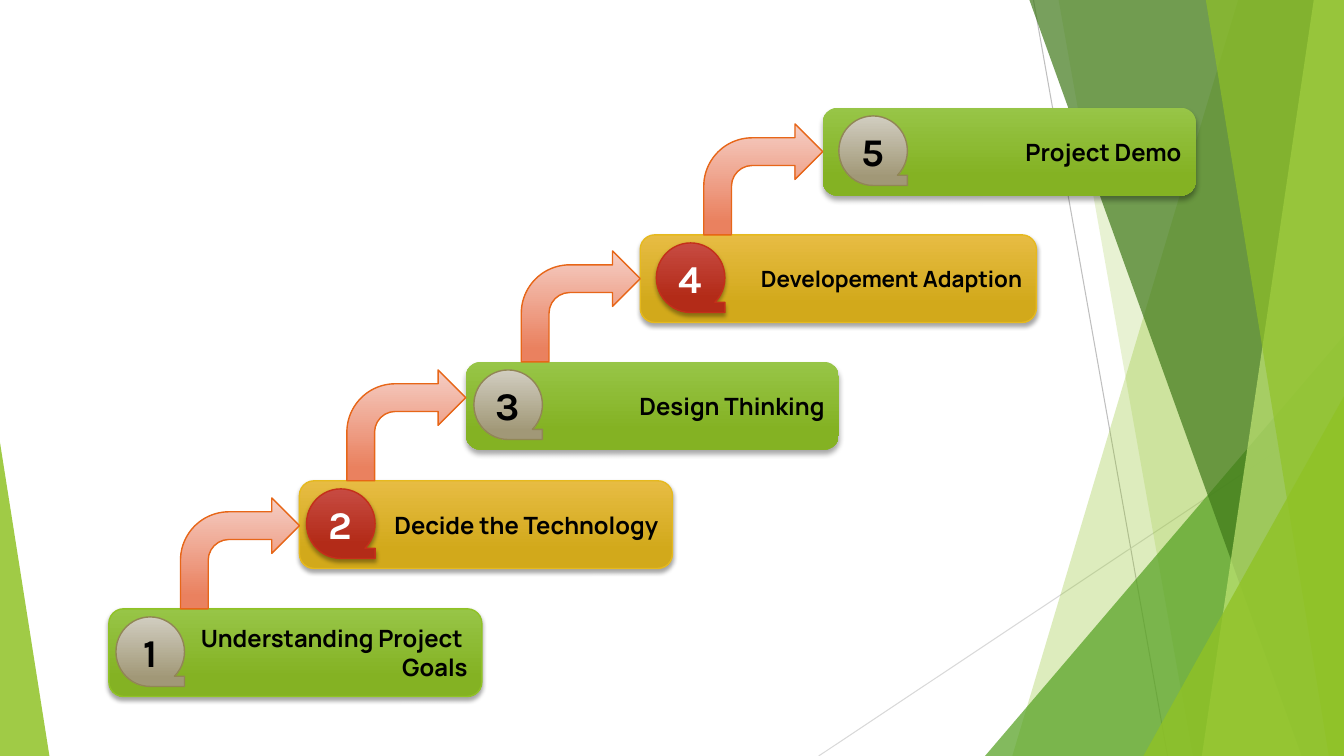
from pptx import Presentation
from pptx.util import Inches, Pt
from pptx.dml.color import RGBColor
from pptx.enum.shapes import MSO_CONNECTOR, MSO_SHAPE
from pptx.enum.text import MSO_ANCHOR, PP_ALIGN
from pptx.oxml.ns import qn
from lxml import etree

LINE = MSO_CONNECTOR.STRAIGHT
TRIANGLE = MSO_SHAPE.ISOSCELES_TRIANGLE
PANEL = MSO_SHAPE.ROUNDED_RECTANGLE
BADGE = MSO_SHAPE.FLOWCHART_SEQUENTIAL_ACCESS_STORAGE
ARROW = MSO_SHAPE.BENT_ARROW
MIDDLE = MSO_ANCHOR.MIDDLE
RIGHT, CENTER = PP_ALIGN.RIGHT, PP_ALIGN.CENTER

W, H = 13.33, 7.5
PANEL_W, PANEL_H = 3.7, 0.87
BADGE_W, BADGE_H, BADGE_DY = 0.68, 0.69, 0.08
ARROW_W, ARROW_H = 1.18, 1.1

THEME = {
    "green": {"stops": [(0, "97C547"), (0.78, "84B223")], "line": "90C226"},
    "gold": {"stops": [(0, "E7BC43"), (0.78, "D2A91B")], "line": "E6B91E"},
    "stone": {"stops": [(0, "D1CDC0"), (0.88, "A19877")], "line": "918655"},
    "red": {"stops": [(0, "C74B42"), (0.78, "B32B18")], "line": "C42F1A"},
    "coral": {"stops": [(0, "F5CEC5"), (0.88, "EA815F")], "line": "E76618"},
    "label": {"name": "Manrope", "size": Pt(17), "bold": True},
    "number": {"name": "Karla", "size": Pt(28), "bold": True},
    "small": Pt(16),
    "dark": "000000",
    "light": "FFFFFF",
}

STEPS = [
    {"label": ["Understanding Project ", "Goals"], "at": (1.08, 6.04), "badge_dx": 0.07, "outline": True},
    {"label": ["Decide the Technology"], "at": (2.97, 4.77), "badge_dx": 0.07, "outline": True},
    {"label": ["Design Thinking"], "at": (4.62, 3.59), "badge_dx": 0.08},
    {"label": ["Developement Adaption"], "at": (6.35, 2.33), "badge_dx": 0.16, "outline": True,
     "width": 3.93, "size": THEME["small"]},
    {"label": ["Project Demo"], "at": (8.16, 1.07), "badge_dx": 0.16},
]

RAYS = [((10.25, 0), (11.58, H), "BFBFBF"), ((W, 4.03), (8.12, H), "D9D9D9")]
FACETS = [
    ("band", 12.28, 10.04, "90C226", 30),
    ("band", 10.5, 11.83, "90C226", 20),
    ("peak", (9.77, 3.33, W), 1, "54A021", 72),
    ("band", 10.21, 12.91, "3F7819", 70),
    ("band", 13.03, 11.92, "C0E474", 70),
    ("band", 11.96, 13.18, "90C226", 65),
    ("peak", (11.34, 3.93, W), 1, "90C226", 80),
    ("peak", (0, 4.39, 0.49), 0, "90C226", 85),
]


def rgb(color):
    return RGBColor.from_string(color)


def add_shape(kind, x, y, w, h):
    s = shapes.add_shape(kind, Inches(x), Inches(y), Inches(w), Inches(h))
    s.shadow.inherit = False
    return s


def tint(s, color, alpha):
    s.fill.solid()
    s.fill.fore_color.rgb = rgb(color)
    clr = s.fill._xPr.find(qn("a:solidFill"))[0]
    etree.SubElement(clr, qn("a:alpha"), val=str(alpha * 1000))
    s.line.fill.background()


def paint(s, style, outline=True):
    s.fill.gradient()
    s.fill.gradient_angle = 270
    for stop, (position, color) in zip(s.fill.gradient_stops, style["stops"]):
        stop.position = position
        stop.color.rgb = rgb(color)
    if outline:
        s.line.color.rgb = rgb(style["line"])
        s.line.width = Pt(1)
    else:
        s.line.fill.background()


def cast_shadow(s, blur, dist):
    effects = s._element.spPr.find(qn("a:effectLst"))
    shadow = etree.SubElement(effects, qn("a:outerShdw"), blurRad=str(Pt(blur)), dist=str(Pt(dist)),
                              dir="5400000", algn="ctr", rotWithShape="0")
    clr = etree.SubElement(shadow, qn("a:srgbClr"), val=THEME["dark"])
    etree.SubElement(clr, qn("a:alpha"), val="35000")


def write(s, lines, align, font, color):
    tf = s.text_frame
    tf.word_wrap = True
    tf.vertical_anchor = MIDDLE
    for i, line in enumerate(lines):
        p = tf.add_paragraph() if i else tf.paragraphs[0]
        p.alignment = align
        r = p.add_run()
        r.text = line
        for key, value in font.items():
            setattr(r.font, key, value)
        r.font.color.rgb = rgb(color)


def add_ray(start, end, color):
    c = shapes.add_connector(LINE, *map(Inches, start + end))
    c.line.color.rgb = rgb(color)
    c.line.width = Pt(0.75)
    etree.SubElement(c._element.spPr, qn("a:effectLst"))


def add_facet(kind, a, b, color, alpha):
    if kind == "band":
        builder = shapes.build_freeform(Inches(a), 0)
        corners = [(W, 0), (W, H), (b, H)]
        builder.add_line_segments([(Inches(x), Inches(y)) for x, y in corners], close=True)
        s = builder.convert_to_shape()
        s.shadow.inherit = False
    else:
        left, top, right = a
        s = add_shape(TRIANGLE, left, top, right - left, H - top)
        s.adjustments[0] = b
    tint(s, color, alpha)


def add_panel(i, step):
    s = add_shape(PANEL, *step["at"], step.get("width", PANEL_W), PANEL_H)
    outline = step.get("outline", False)
    paint(s, THEME["gold" if i % 2 else "green"], outline)
    cast_shadow(s, *((3, 2) if outline else (4, 3)))
    font = {**THEME["label"], "size": step.get("size", THEME["label"]["size"])}
    write(s, step["label"], RIGHT, font, THEME["dark"])


def add_badge(i, step):
    x, y = step["at"]
    s = add_shape(BADGE, x + step["badge_dx"], y + BADGE_DY, BADGE_W, BADGE_H)
    paint(s, THEME["red" if i % 2 else "stone"])
    if i % 2:
        cast_shadow(s, 3, 2)
    write(s, [str(i + 1)], CENTER, THEME["number"], THEME["light" if i % 2 else "dark"])


prs = Presentation()
prs.slide_width, prs.slide_height = Inches(W), Inches(H)
shapes = prs.slides.add_slide(prs.slide_layouts[6]).shapes

for ray in RAYS:
    add_ray(*ray)
for facet in FACETS:
    add_facet(*facet)
for i, step in enumerate(STEPS):
    add_panel(i, step)
for i, step in enumerate(STEPS):
    add_badge(i, step)
for step, following in zip(STEPS, STEPS[1:]):
    s = add_shape(ARROW, following["at"][0] - ARROW_W, step["at"][1] - ARROW_H, ARROW_W, ARROW_H)
    paint(s, THEME["coral"])

prs.save("out.pptx")
